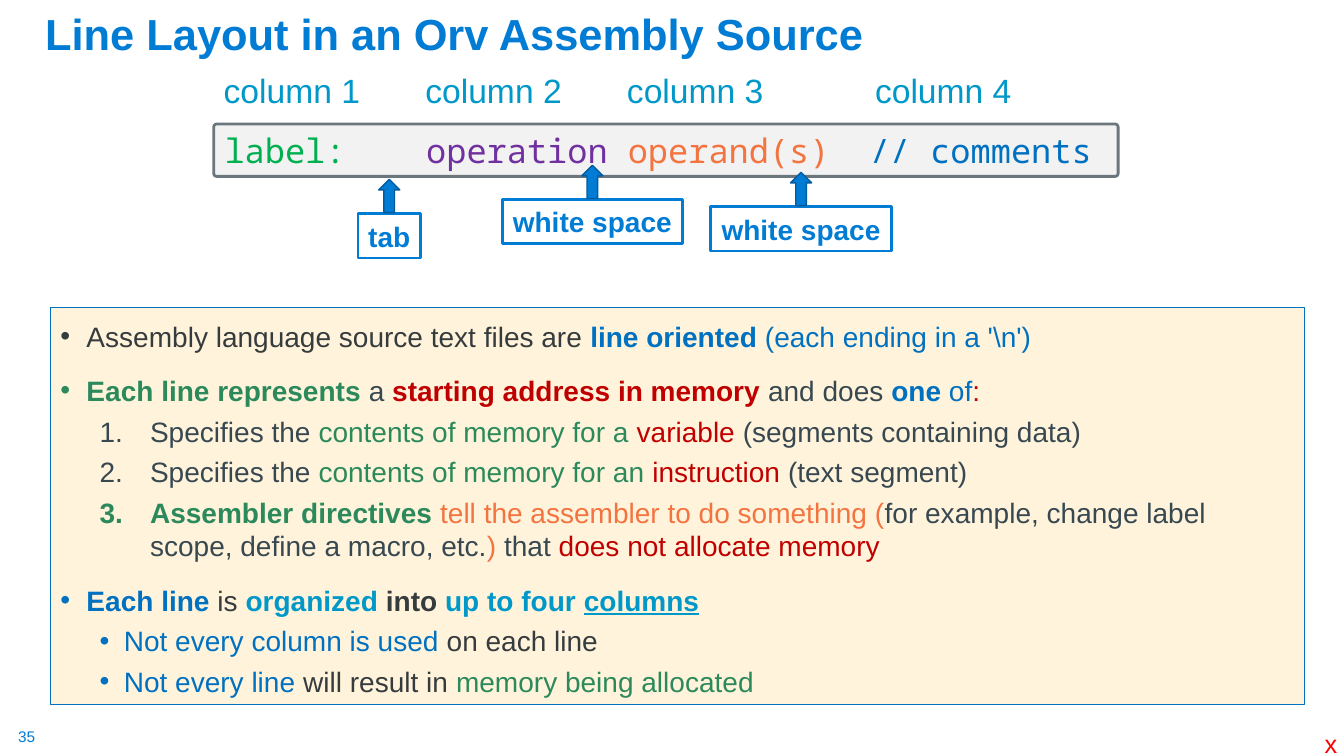
from lxml.etree import SubElement
from pptx import Presentation
from pptx.dml.color import RGBColor
from pptx.enum.shapes import MSO_SHAPE
from pptx.enum.text import MSO_ANCHOR
from pptx.oxml.ns import qn
from pptx.util import Inches, Pt

COLORS = {
    "azure": "007CD5", "navy": "005C9E", "blue": "0070C0", "teal": "0098C9",
    "green": "2C895B", "lime": "00B050", "red": "C00000", "bright": "FF0000",
    "orange": "F37440", "purple": "7030A0", "dark": "363B3E", "slate": "384851",
    "gray": "6B767D", "pale": "F2F2F2", "cream": "FFF4DB",
}
SANS, MONO = "Arial", "Noto Sans Mono"

# A run is (text, colour, style); style holds b for bold, u for underline.
TITLE = [("Line Layout in an Orv Assembly Source", "azure", "b")]
HEADS = [("column 1\tcolumn 2\tcolumn 3\tcolumn 4", "teal", "")]
CODE = [
    ("label:\t", "lime", ""), ("operation ", "purple", ""),
    ("operand(s)\t", "orange", ""), ("// comments", "blue", ""),
]
# Each tag: text, left, top, width, with an arrow rising from its top centre
TAGS = [
    ("tab", 3.55, 2.12, 0.62),
    ("white space", 4.98, 1.98, 1.79),
    ("white space", 7.05, 2.05, 1.79),
]
# Each kind: left margin, hanging indent, line spacing, space before, bullet
KINDS = {
    "main": (0.26, 0.26, 1.2, 10, "•"),
    "step": (0.89, 0.5, 1.0, 5, None),
    "sub": (0.63, 0.24, 1.0, 5, "•"),
}
BODY = [
    ("main", [("Assembly language source text files are ", "dark", ""),
              ("line oriented", "blue", "b"),
              (" (each ending in a '\\n')", "blue", "")]),
    ("main", [("Each line represents ", "green", "b"), ("a ", "slate", ""),
              ("starting address in memory ", "red", "b"),
              ("and does ", "slate", ""), ("one", "blue", "b"),
              (" of", "blue", ""), (":", "red", "")]),
    ("step", [("Specifies the ", "slate", ""),
              ("contents of memory for a ", "green", ""),
              ("variable ", "red", ""),
              ("(segments containing data)", "slate", "")]),
    ("step", [("Specifies the ", "slate", ""),
              ("contents of memory for an ", "green", ""),
              ("instruction ", "red", ""), ("(text segment)", "slate", "")]),
    ("step", [("Assembler directives ", "green", "b"),
              ("tell the assembler to do something (", "orange", ""),
              ("for example, change label scope, define a macro, etc.", "slate", ""),
              (") ", "orange", ""), ("that ", "slate", ""),
              ("does not allocate memory", "red", "")]),
    ("main", [("Each line ", "blue", "b"), ("is ", "dark", ""),
              ("organized ", "teal", "b"), ("into", "dark", "b"),
              (" up to four ", "teal", "b"), ("columns", "teal", "bu")]),
    ("sub", [("Not every column is used ", "blue", ""),
             ("on each line", "dark", "")]),
    ("sub", [("Not every line ", "blue", ""), ("will result in ", "dark", ""),
             ("memory being allocated", "green", "")]),
]


def rgb(name):
    return RGBColor.from_string(COLORS[name])


def write(para, runs, size, font=SANS):
    for text, color, style in runs:
        run = para.add_run()
        run.text = text
        run.font.name, run.font.size = font, Pt(size)
        run.font.color.rgb = rgb(color)
        run.font.bold = "b" in style
        run.font.underline = "u" in style


def add_tabs(para, stops):
    tabs = SubElement(para._p.get_or_add_pPr(), qn("a:tabLst"))
    for stop in stops:
        SubElement(tabs, qn("a:tab"), pos=str(Inches(stop)), algn="l")


def add_text(slide, box, runs, size, wrap=False, inset=True):
    shape = slide.shapes.add_textbox(*map(Inches, box))
    frame = shape.text_frame
    frame.word_wrap = wrap
    if not inset:
        frame.margin_left = frame.margin_right = 0
        frame.margin_top = frame.margin_bottom = 0
    write(frame.paragraphs[0], runs, size)
    return frame


def add_box(slide, kind, box, fill, line, width):
    shape = slide.shapes.add_shape(kind, *map(Inches, box))
    shape.shadow.inherit = False
    if fill:
        shape.fill.solid()
        shape.fill.fore_color.rgb = rgb(fill)
    else:
        shape.fill.background()
    shape.line.color.rgb = rgb(line)
    shape.line.width = Pt(width)
    return shape


def add_item(para, kind, runs, first):
    left, hang, spacing, before, bullet = KINDS[kind]
    props = para._p.get_or_add_pPr()
    props.set("marL", str(Inches(left)))
    props.set("indent", str(-Inches(hang)))
    props.set("algn", "l")
    props.set("lvl", "0" if kind == "main" else "1")
    if bullet:
        SubElement(props, qn("a:buFont"), typeface=SANS)
        SubElement(props, qn("a:buChar"), char=bullet)
    else:
        SubElement(props, qn("a:buFont"), typeface="+mj-lt")
        SubElement(props, qn("a:buAutoNum"), type="arabicPeriod")
    para.line_spacing = spacing
    para.space_before = Pt(0 if first else before)
    write(para, runs, 20)


def add_body(slide):
    shape = add_box(slide, MSO_SHAPE.RECTANGLE, (0.5, 3.05, 12.44, 3.94),
                    "cream", "blue", 0.75)
    frame = shape.text_frame
    frame.word_wrap = True
    frame.vertical_anchor = MSO_ANCHOR.TOP
    for i, (kind, runs) in enumerate(BODY):
        para = frame.add_paragraph() if i else frame.paragraphs[0]
        add_item(para, kind, runs, i == 0)


def add_code(slide):
    shape = add_box(slide, MSO_SHAPE.ROUNDED_RECTANGLE,
                    (2.12, 1.23, 8.97, 0.52), "pale", "gray", 2)
    shape.adjustments[0] = 0.057
    para = shape.text_frame.paragraphs[0]
    add_tabs(para, (2, 6.4))
    para._p.get_or_add_pPr().set("algn", "l")
    write(para, CODE, 24, MONO)


def add_tag(slide, text, left, top, width):
    shape = add_box(slide, MSO_SHAPE.RECTANGLE, (left, top, width, 0.44),
                    None, "azure", 2)
    shape.text_frame.word_wrap = False
    write(shape.text_frame.paragraphs[0], [(text, "azure", "b")], 20)
    wide, high = 0.21, 0.33
    add_box(slide, MSO_SHAPE.UP_ARROW,
            (left + (width - wide) / 2, top - 0.01 - high, wide, high),
            "azure", "navy", 1)


def main():
    deck = Presentation()
    deck.slide_width, deck.slide_height = Inches(13.33), Inches(7.5)
    slide = deck.slides.add_slide(deck.slide_layouts[6])
    add_text(slide, (0.18, 7.21, 0.19, 0.19), [("35", "azure", "")], 11,
             inset=False)
    title = add_text(slide, (0.35, 0.16, 12.75, 0.48), TITLE, 31, wrap=True)
    title.vertical_anchor = MSO_ANCHOR.BOTTOM
    title.paragraphs[0].line_spacing = 0.9
    add_body(slide)
    add_code(slide)
    for tag in TAGS:
        add_tag(slide, *tag)
    add_text(slide, (13.04, 7.18, 0.33, 0.4), [("x", "bright", "")], 18)
    heads = add_text(slide, (2.12, 0.64, 8.09, 0.5), HEADS, 24)
    add_tabs(heads.paragraphs[0], (2, 4, 6.46))
    deck.save("out.pptx")


if __name__ == "__main__":
    main()
